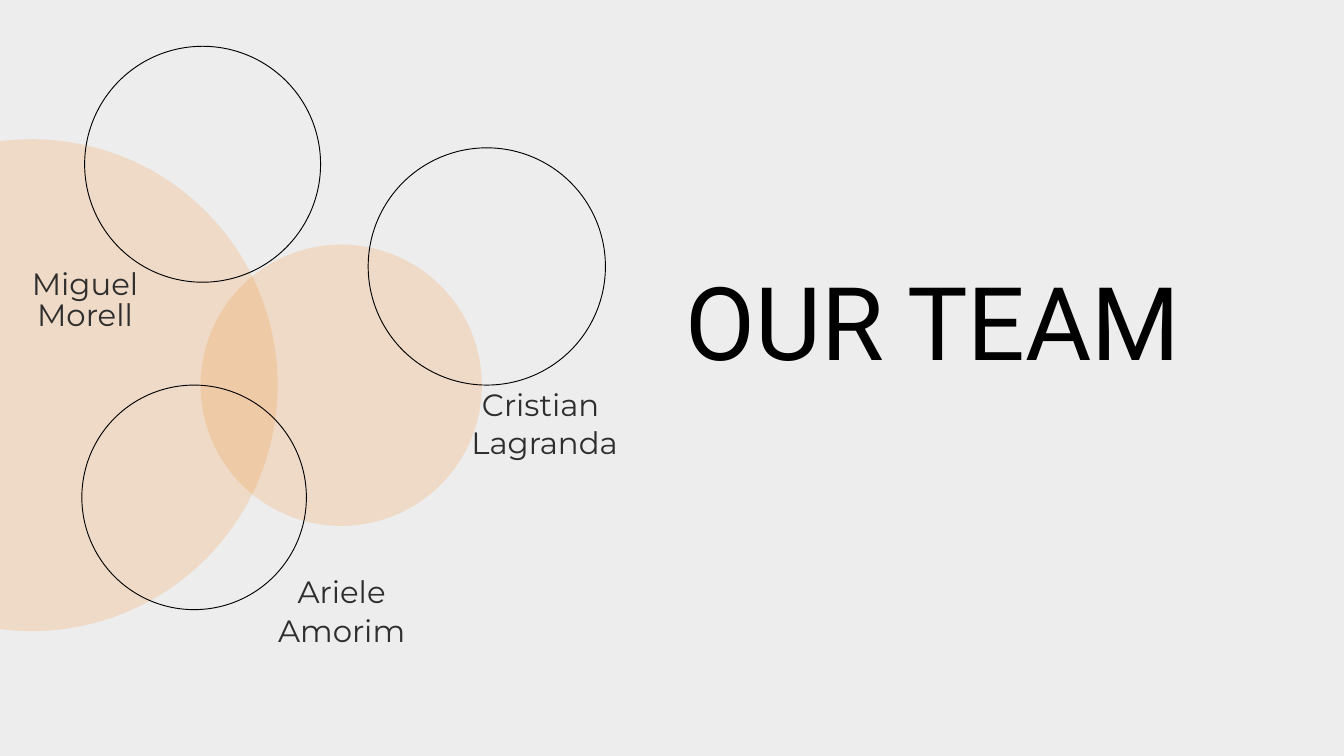
from dataclasses import dataclass

from lxml import etree
from pptx import Presentation
from pptx.dml.color import RGBColor
from pptx.enum.shapes import MSO_SHAPE
from pptx.enum.text import MSO_AUTO_SIZE, PP_ALIGN
from pptx.oxml.ns import qn
from pptx.util import Pt

OVAL = MSO_SHAPE.OVAL
GROW = MSO_AUTO_SIZE.SHAPE_TO_FIT_TEXT
LEFT, CENTER = PP_ALIGN.LEFT, PP_ALIGN.CENTER


@dataclass(frozen=True)
class Theme:
    """Colours, fonts and type sizes of the page."""
    paper: str = "EDEDED"
    accent: str = "F47C00"
    accent_opacity: int = 16
    ring: str = "000000"
    ring_width: float = 1
    title: tuple = ("Roboto", 108.9, "000000")
    name: tuple = ("Montserrat", 33, "2E2E2E")


THEME = Theme()
DISCS = [(34, 412.7, 263.5), (365.6, 412.8, 150.7)]
RINGS = [(217.1, 176, 126.4), (208, 532.9, 120.3), (521.6, 285.5, 127.1)]
NAMES = [
    (("Miguel", "Morell"), (-47.5, 290.9, 277.2, 66.2), 32.7),
    (("Ariele", "Amorim"), (264.2, 612.7, 203.8, 80.6), 40.9),
    (("Cristian ", "Lagranda"), (481.7, 411.8, 203.8, 80.6), 40.9),
]


def add_circle(page, center_x, center_y, radius):
    """Add a circle around a centre point."""
    box = (center_x - radius, center_y - radius, 2 * radius, 2 * radius)
    circle = page.shapes.add_shape(OVAL, *map(Pt, box))
    circle.shadow.inherit = False
    return circle


def add_disc(page, *geometry):
    """Add a translucent filled circle without a line."""
    disc = add_circle(page, *geometry)
    disc.fill.solid()
    disc.fill.fore_color.rgb = RGBColor.from_string(THEME.accent)
    color = disc._element.spPr.find(qn("a:solidFill")).find(qn("a:srgbClr"))
    etree.SubElement(color, qn("a:alpha"), val=str(THEME.accent_opacity * 1000))
    disc.line.fill.background()


def add_ring(page, *geometry):
    """Add an outlined circle without a fill."""
    ring = add_circle(page, *geometry)
    ring.fill.background()
    ring.line.color.rgb = RGBColor.from_string(THEME.ring)
    ring.line.width = Pt(THEME.ring_width)


def add_text(page, lines, box, leading, style, align):
    """Add a text box with one paragraph per line."""
    font_name, size, color = style
    frame = page.shapes.add_textbox(*map(Pt, box)).text_frame
    frame.word_wrap = True
    frame.auto_size = GROW
    frame.margin_left = frame.margin_right = Pt(0)
    frame.margin_top = frame.margin_bottom = Pt(0)
    for index, line in enumerate(lines):
        para = frame.add_paragraph() if index else frame.paragraphs[0]
        para.alignment = align
        para.line_spacing = Pt(leading)
        span = para.add_run()
        span.text = line
        span.font.name = font_name
        span.font.size = Pt(size)
        span.font.color.rgb = RGBColor.from_string(color)


def main():
    """Build the team page and save the deck."""
    deck = Presentation()
    deck.slide_width, deck.slide_height = Pt(1440), Pt(810)
    page = deck.slides.add_slide(deck.slide_layouts[6])
    page.background.fill.solid()
    page.background.fill.fore_color.rgb = RGBColor.from_string(THEME.paper)
    for disc in DISCS:
        add_disc(page, *disc)
    for ring in RINGS:
        add_ring(page, *ring)
    add_text(page, ["OUR TEAM"], (734.4, 300.2, 625, 112.3), 107.8, THEME.title, LEFT)
    for lines, box, leading in NAMES:
        add_text(page, lines, box, leading, THEME.name, CENTER)
    deck.save("out.pptx")


if __name__ == "__main__":
    main()
